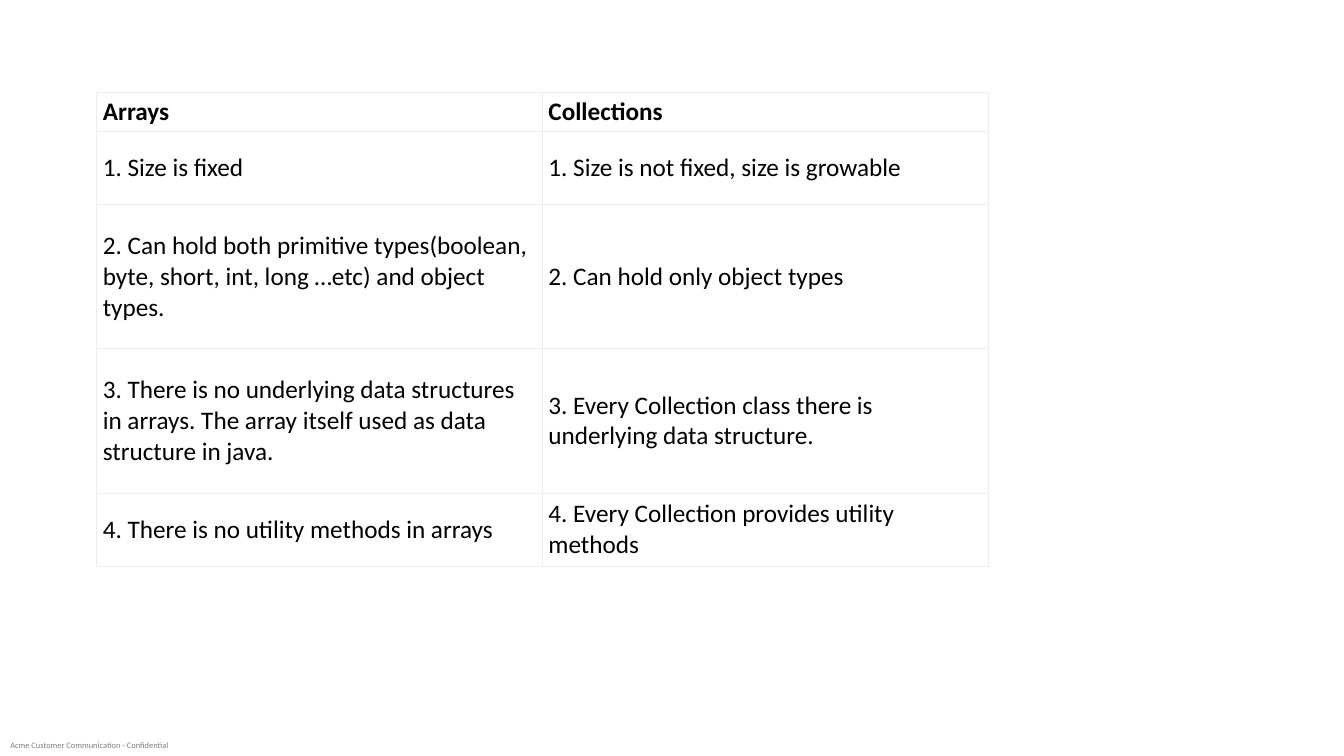
from pptx import Presentation
from pptx.dml.color import RGBColor
from pptx.enum.text import MSO_ANCHOR as Anchor, PP_ALIGN as Align
from pptx.oxml import parse_xml
from pptx.oxml.ns import nsdecls
from pptx.util import Inches, Pt

FONT = "Calibri"
BLACK = RGBColor(0x00, 0x00, 0x00)
GRAY = RGBColor(0x7F, 0x7F, 0x7F)
BORDER = RGBColor(0xED, 0xED, 0xED)

FOOTER = "Acme Customer Communication - Confidential"
COMPARISON = [
    ("Arrays", "Collections"),
    ("1. Size is fixed", "1. Size is not fixed, size is growable"),
    ("2. Can hold both primitive types(boolean, byte, short, int, long …etc) and object types.",
     "2. Can hold only object types"),
    ("3. There is no underlying data structures in arrays. The array itself used as\u00a0data structure in java.",
     "3. Every Collection class there is underlying data structure."),
    ("4. There is no utility methods in arrays", "4. Every Collection provides utility methods"),
]
ROW_HEIGHTS = [0.38, 0.73, 1.43, 1.43, 0.73]
COLUMN_WIDTH = 4.42


def write(para, text, size, color, bold=False):
    span = para.add_run()
    span.text = text
    span.font.name = FONT
    span.font.size = Pt(size)
    span.font.bold = bold
    span.font.color.rgb = color


def add_borders(cell):
    properties = cell._tc.get_or_add_tcPr()
    for index, side in enumerate(("lnL", "lnR", "lnT", "lnB")):
        properties.insert(index, parse_xml(
            f'<a:{side} {nsdecls("a")} w="{Pt(0.5)}"><a:solidFill>'
            f'<a:srgbClr val="{BORDER}"/></a:solidFill></a:{side}>'))


deck = Presentation()
deck.slide_width, deck.slide_height = Inches(13.33), Inches(7.5)
page = deck.slides.add_slide(deck.slide_layouts[6])

box = page.shapes.add_textbox(Inches(0), Inches(7.29), Inches(1.77), Inches(0.21))
frame = box.text_frame
frame.word_wrap = True
frame.vertical_anchor = Anchor.MIDDLE
frame.margin_left = frame.margin_right = frame.margin_top = frame.margin_bottom = 0
frame.paragraphs[0].alignment = Align.CENTER
write(frame.paragraphs[0], FOOTER, 6, GRAY)

table = page.shapes.add_table(
    len(COMPARISON), 2, Inches(0.96), Inches(0.92),
    Inches(2 * COLUMN_WIDTH), Inches(sum(ROW_HEIGHTS))).table
table.horz_banding = False
for column in table.columns:
    column.width = Inches(COLUMN_WIDTH)

for row_index, (texts, height) in enumerate(zip(COMPARISON, ROW_HEIGHTS)):
    table.rows[row_index].height = Inches(height)
    for column_index, text in enumerate(texts):
        cell = table.cell(row_index, column_index)
        cell.fill.background()
        cell.vertical_anchor = Anchor.MIDDLE
        cell.margin_left = cell.margin_right = Inches(0.06)
        cell.margin_top = cell.margin_bottom = Inches(0.01)
        add_borders(cell)
        write(cell.text_frame.paragraphs[0], text, 18, BLACK, bold=row_index == 0)

deck.save("out.pptx")
